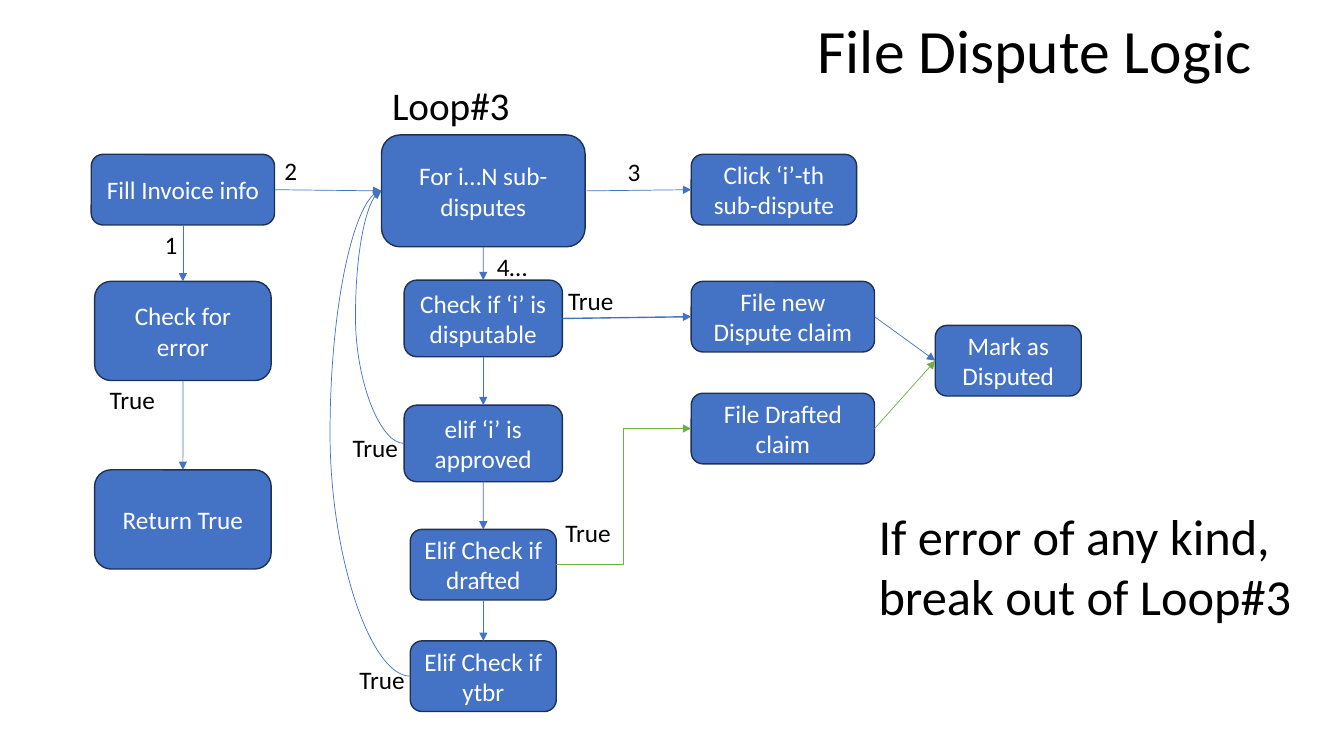
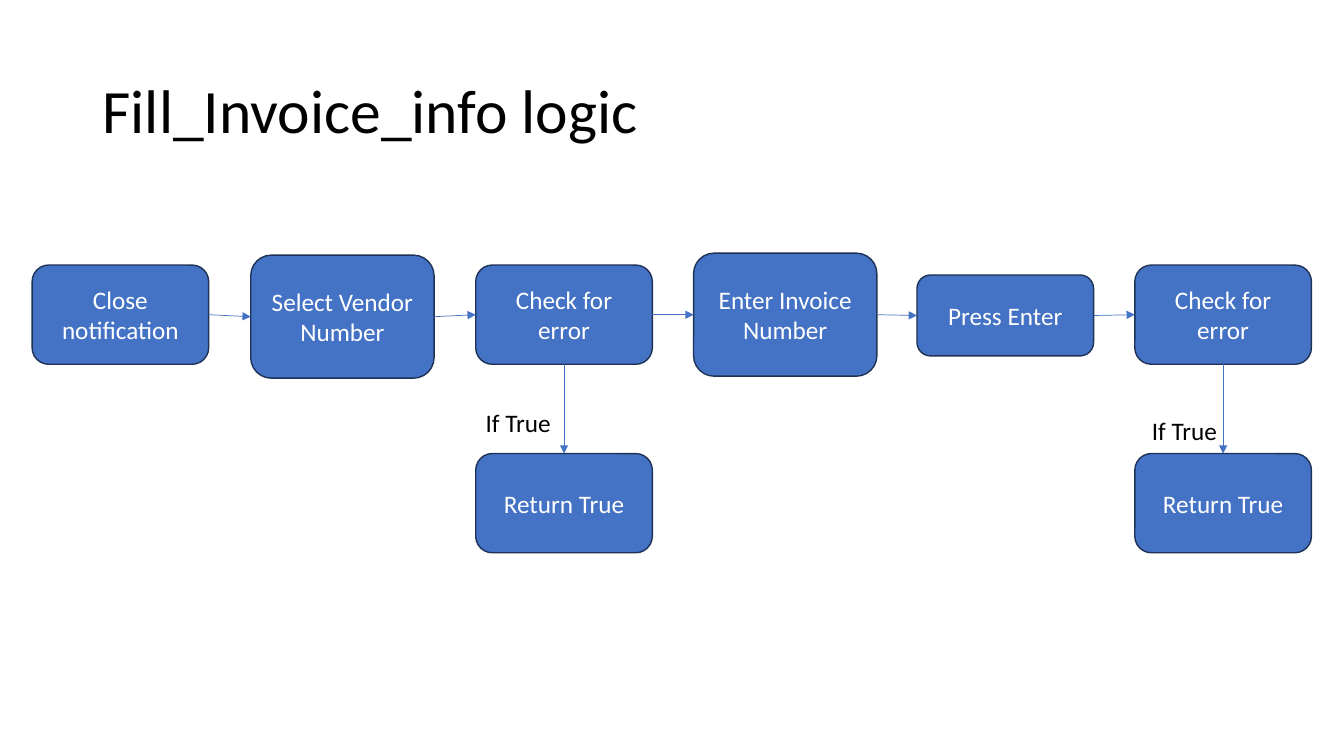
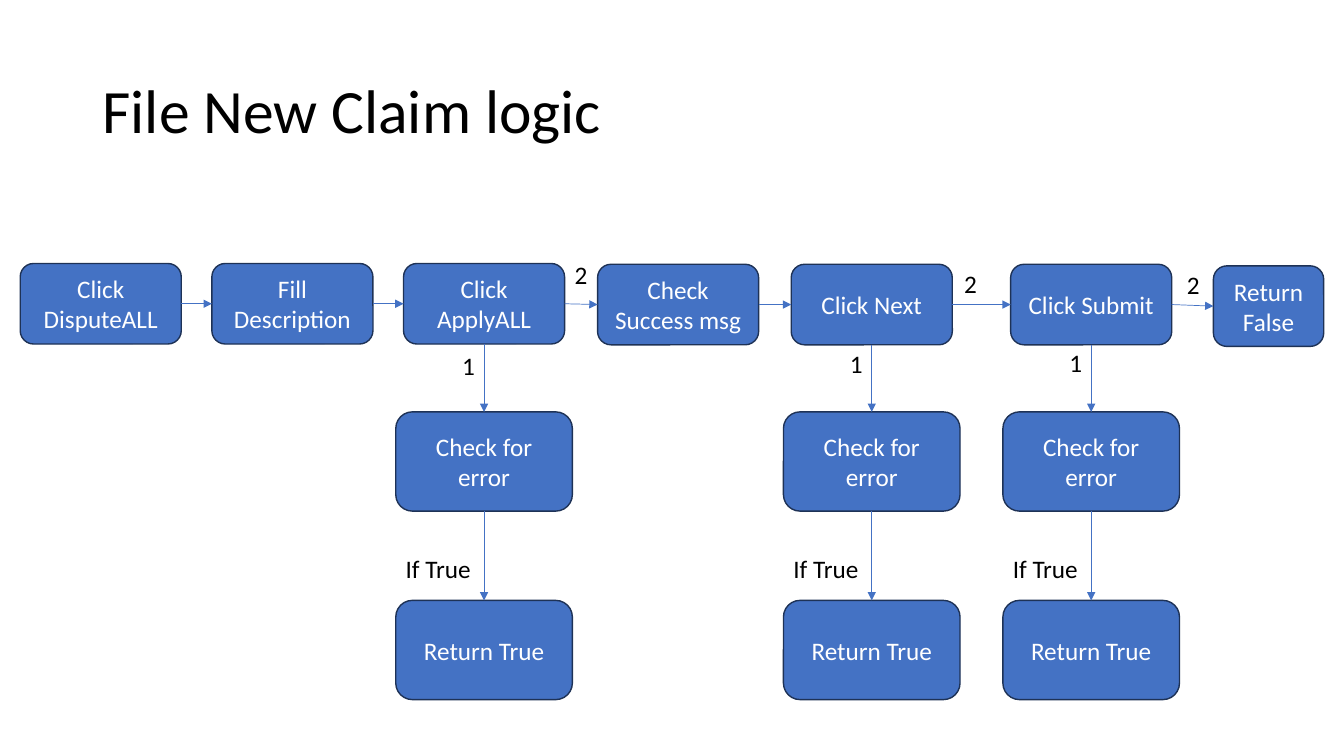
import pptx
import pptx.dml.color
import pptx.enum.shapes
import pptx.enum.text
import pptx.oxml
import pptx.oxml.ns
import pptx.util

Cm = pptx.util.Cm
Pt = pptx.util.Pt
RGB = pptx.dml.color.RGBColor
KIND = pptx.enum.shapes.MSO_CONNECTOR
ALIGN = pptx.enum.text.PP_ALIGN

BLUE = RGB(0x44, 0x72, 0xC4)
NAVY = RGB(0x1E, 0x32, 0x56)
GREEN = RGB(0x70, 0xAD, 0x47)
BLACK = RGB(0, 0, 0)
WHITE = RGB(0xFF, 0xFF, 0xFF)
FONT = "Calibri"

TOP, LEFT, BOTTOM, RIGHT = range(4)
CHECK_W, CHECK_H = 4.45, 2.5
TAIL_GAP = 2.25


def write(frame, text, size, color, align):
    frame.word_wrap = True
    para = frame.paragraphs[0]
    para.text = text
    para.alignment = align
    para.font.name = FONT
    para.font.size = Pt(size)
    para.font.color.rgb = color
    return para


def start(deck, text, box=(2.33, 1.01, 29.21, 3.68)):
    """Add a slide with its title in the given box."""
    slide = deck.slides.add_slide(deck.slide_layouts[5])
    title = slide.shapes.title
    title.left, title.top, title.width, title.height = map(Cm, box)
    title.text_frame.vertical_anchor = pptx.enum.text.MSO_ANCHOR.MIDDLE
    write(title.text_frame, text, 44, BLACK, ALIGN.LEFT).line_spacing = 0.9
    return slide


def node(slide, text, x, y, w, h):
    shape = slide.shapes.add_shape(
        pptx.enum.shapes.MSO_SHAPE.FLOWCHART_ALTERNATE_PROCESS,
        Cm(x), Cm(y), Cm(w), Cm(h))
    shape.shadow.inherit = False
    shape.fill.solid()
    shape.fill.fore_color.rgb = BLUE
    shape.line.color.rgb = NAVY
    shape.line.width = Pt(1)
    write(shape.text_frame, text, 18, WHITE, ALIGN.CENTER)
    return shape


def label(slide, text, x, y, w=2.34, h=1.02, size=18):
    box = slide.shapes.add_textbox(Cm(x), Cm(y), Cm(w), Cm(h))
    box.text_frame.auto_size = pptx.enum.text.MSO_AUTO_SIZE.SHAPE_TO_FIT_TEXT
    write(box.text_frame, text, size, BLACK, ALIGN.LEFT)


def link(slide, first, side, last, end, color=BLUE, width=0.5,
         kind=KIND.STRAIGHT, bend=None):
    """Join two nodes with an arrow; bend is the turn as a share of its width."""
    line = slide.shapes.add_connector(kind, 0, 0, 0, 0)
    line.begin_connect(first, side)
    line.end_connect(last, end)
    line.line.color.rgb = color
    line.line.width = Pt(width)
    props = line._element.spPr
    tag = pptx.oxml.ns.qn
    pen = props.find(tag("a:ln"))
    pen.append(pptx.oxml.parse_xml(
        f'<a:tailEnd {pptx.oxml.ns.nsdecls("a")} type="triangle"/>'))
    props.append(pptx.oxml.parse_xml(
        f'<a:effectLst {pptx.oxml.ns.nsdecls("a")}/>'))
    if bend is not None:
        guides = props.find(tag("a:prstGeom")).get_or_add_avLst()
        guides.append(pptx.oxml.parse_xml(
            f'<a:gd {pptx.oxml.ns.nsdecls("a")} name="adj1" '
            f'fmla="val {round(bend * 100000)}"/>'))


def chain(slide, nodes, side, end):
    for first, last in zip(nodes, nodes[1:]):
        link(slide, first, side, last, end)


def stack(slide, mid, parts):
    """Place (text, top, width, height) nodes on one vertical axis."""
    return [node(slide, text, mid - w / 2, y, w, h) for text, y, w, h in parts]


def tail(slide, check, text="If True", dx=0, dy=3.45):
    """Hang the labelled 'Return True' node below an error check."""
    x, y = check.left.cm, check.top.cm
    last = node(slide, "Return True", x, y + CHECK_H + TAIL_GAP,
                CHECK_W, CHECK_H)
    link(slide, check, BOTTOM, last, TOP)
    label(slide, text, x + dx, y + dy, 2.21)


def invoice(slide, mid, top):
    """Left column: fill in the invoice, then check for an error."""
    fill, check = stack(slide, mid, [
        ("Fill Invoice info", top, 4.62, 1.78),
        ("Check for error", top + 3.2, CHECK_W, CHECK_H)])
    link(slide, fill, BOTTOM, check, TOP)
    label(slide, "1", mid - 0.71, top + 1.77)
    label(slide, "2", mid + 2.31, top - 0.11)
    tail(slide, check, "True", 0.13, 2.46)
    return fill


def loop(slide, mid, top):
    """Middle column: the loop head, its tests and the ways back."""
    nodes = stack(slide, mid, [
        ("For i…N sub-disputes", top, 5.13, 2.82),
        ("Check if ‘i’ is disputable", top + 3.66, 3.99, 1.93),
        ("elif ‘i’ is approved", top + 6.81, 3.99, 1.93),
        ("Elif Check if drafted", top + 9.94, 3.68, 1.78),
        ("Elif Check if ytbr", top + 12.75, 3.68, 1.78)])
    chain(slide, nodes, BOTTOM, TOP)
    head, test, passed, draft, other = nodes
    for back, bend in ((passed, 2.15), (other, 2.79)):
        link(slide, back, LEFT, head, LEFT, kind=KIND.CURVE, bend=bend)
    label(slide, "Loop#3", mid - 2.55, top - 1.47, 3.51, 1.45, 28)
    for text, dx, dy in (("4…", 0.09, 2.8), ("True", 1.89, 3.66),
                         ("True", -3.54, 7.37), ("True", 1.82, 9.5),
                         ("True", -3.37, 13.21)):
        label(slide, text, mid + dx, top + dy)
    return head, test, draft


def claims(slide, x, top):
    """Right part: the click, the two claims and the final mark."""
    click = node(slide, "Click ‘i’-th sub-dispute", x, top, 4.17, 1.78)
    new = node(slide, "File new Dispute claim", x, top + 3.2, 4.62, 1.78)
    draft = node(slide, "File Drafted claim", x, top + 6.02, 4.62, 1.78)
    mark = node(slide, "Mark as Disputed", x + 6.15, top + 4.31, 3.68, 1.78)
    link(slide, new, RIGHT, mark, LEFT)
    link(slide, draft, RIGHT, mark, LEFT, GREEN)
    label(slide, "3", x - 1.85, top - 0.08)
    return click, new, draft


def dispute(deck):
    slide = start(deck, "File Dispute Logic", (20.35, 0.28, 12.01, 2.13))
    fill = invoice(slide, 4.61, 3.89)
    head, test, draft = loop(slide, 12.18, 3.4)
    click, new, drafted = claims(slide, 17.42, 3.89)
    link(slide, fill, RIGHT, head, LEFT)
    link(slide, head, RIGHT, click, LEFT)
    link(slide, test, RIGHT, new, LEFT, width=1)
    link(slide, draft, RIGHT, drafted, LEFT, GREEN, 1, KIND.ELBOW, 0.5)
    label(slide, "If error of any kind, break out of Loop#3",
          21.89, 12.6, 11.97, 3.33, 36)


def filling(deck):
    slide = start(deck, "Fill_Invoice_info logic")
    steps = [node(slide, *part) for part in (
        ("Close notification", 0.81, 6.68, CHECK_W, CHECK_H),
        ("Select Vendor Number", 6.32, 6.43, 4.62, 3.1),
        ("Check for error", 11.99, 6.68, CHECK_W, CHECK_H),
        ("Enter Invoice Number", 17.48, 6.38, 4.62, 3.1),
        ("Press Enter", 23.11, 6.93, CHECK_W, 2.04),
        ("Check for error", 28.6, 6.68, CHECK_W, CHECK_H))]
    chain(slide, steps, RIGHT, LEFT)
    tail(slide, steps[2])
    tail(slide, steps[5], dx=0.18, dy=3.65)


def claim(deck):
    slide = start(deck, "File New Claim logic")
    steps = [node(slide, text, x, y, w, 2.03) for text, x, y, w in (
        ("Click DisputeALL", 0.51, 6.64, 4.06),
        ("Fill Description", 5.34, 6.64, 4.06),
        ("Click ApplyALL", 10.17, 6.64, 4.06),
        ("Check Success msg", 15.06, 6.66, 4.06),
        ("Click Next", 19.94, 6.66, 4.06),
        ("Click Submit", 25.47, 6.66, 4.06),
        ("Return False", 30.58, 6.7, 2.78))]
    chain(slide, steps, RIGHT, LEFT)
    for index, one, dx, two in ((2, 8.71, 0, 6.4), (4, 8.66, 0.05, 6.63),
                                (5, 8.64, 0.13, 6.65)):
        step = steps[index]
        x, w = step.left.cm, step.width.cm
        check = node(slide, "Check for error", x + (w - CHECK_W) / 2, 10.38,
                     CHECK_W, CHECK_H)
        link(slide, step, BOTTOM, check, TOP)
        tail(slide, check)
        label(slide, "1", x + 1.23, one, 0.99)
        label(slide, "2", x + w + dx, two, 1.4)


def main():
    deck = pptx.Presentation()
    deck.slide_width, deck.slide_height = Cm(33.87), Cm(19.05)
    dispute(deck)
    filling(deck)
    claim(deck)
    deck.save("out.pptx")


if __name__ == "__main__":
    main()
